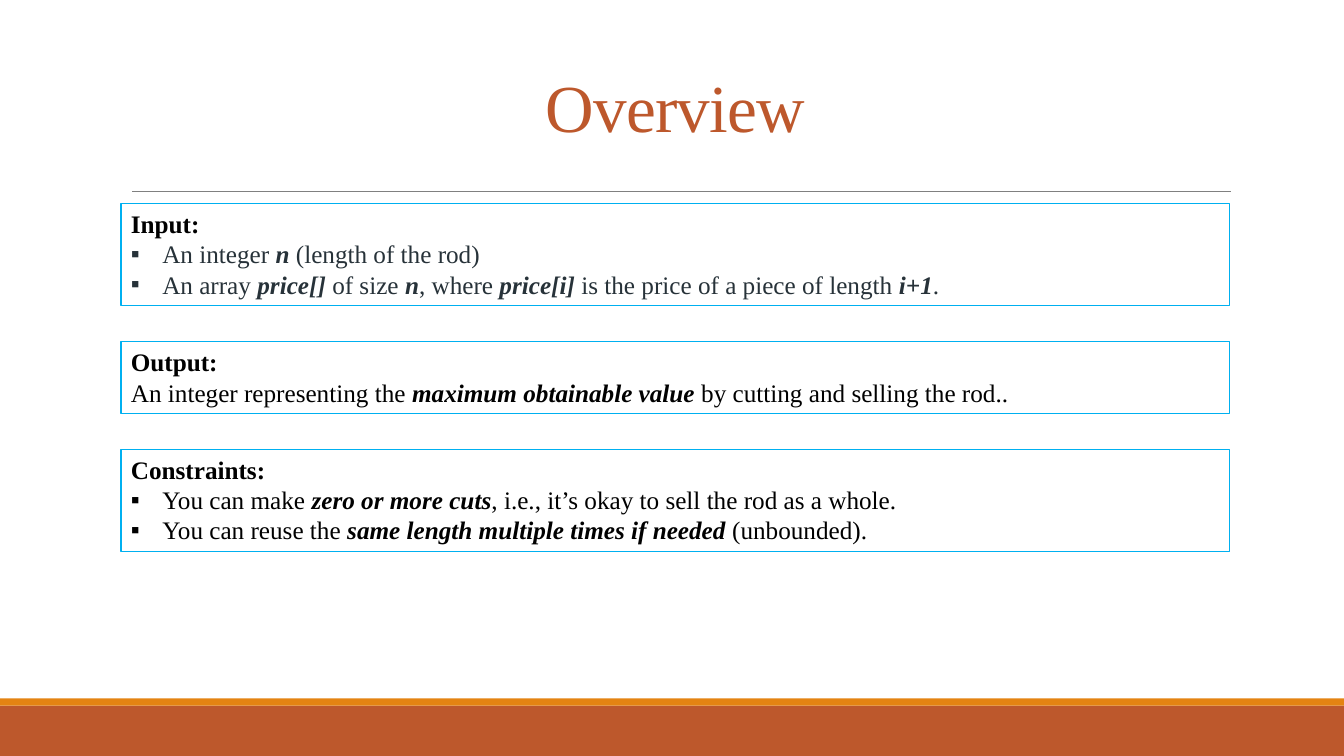
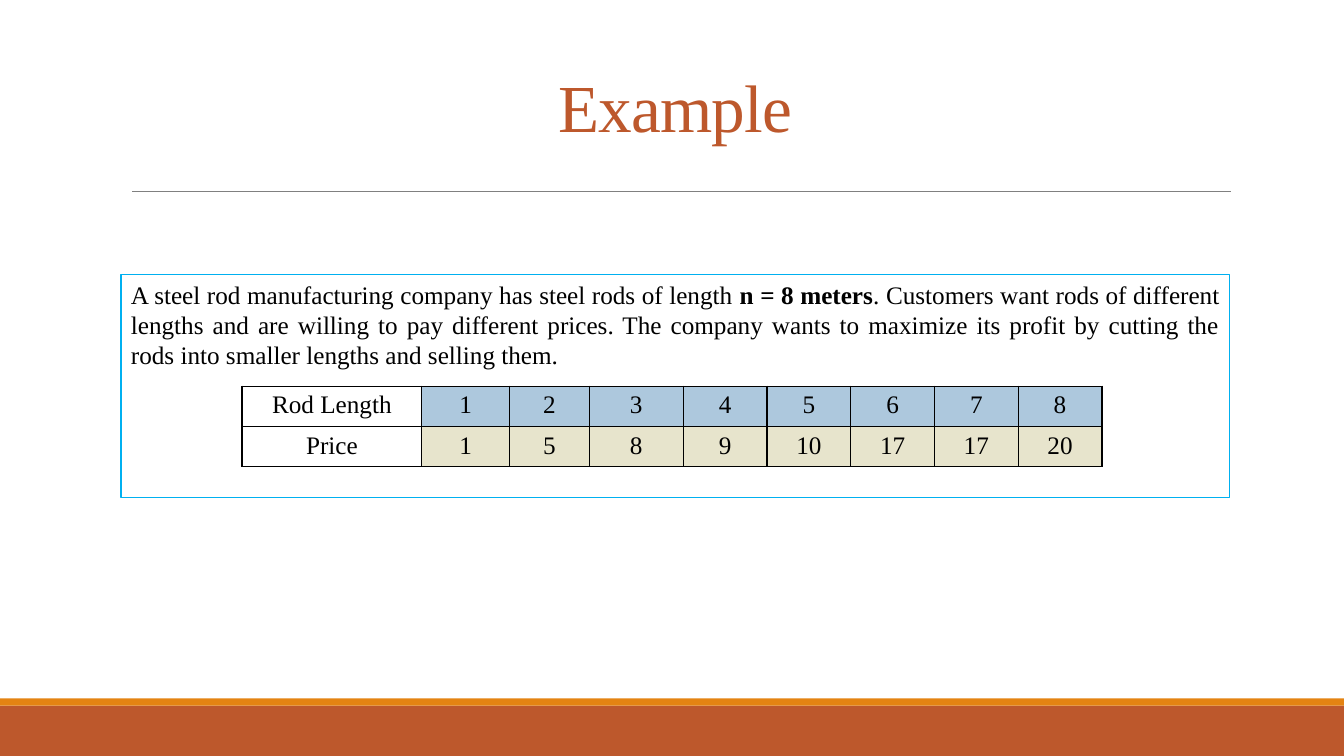
from dataclasses import dataclass

from lxml import etree
from pptx import Presentation
from pptx.dml.color import RGBColor
from pptx.enum.shapes import MSO_CONNECTOR, MSO_SHAPE
from pptx.enum.text import MSO_ANCHOR, PP_ALIGN
from pptx.oxml.ns import qn
from pptx.util import Cm, Pt

RECTANGLE = MSO_SHAPE.RECTANGLE
STRAIGHT = MSO_CONNECTOR.STRAIGHT
MIDDLE = MSO_ANCHOR.MIDDLE
CENTER = PP_ALIGN.CENTER
JUSTIFY = PP_ALIGN.JUSTIFY


@dataclass(frozen=True)
class Theme:
    font: str = "Times New Roman"
    title_size: int = 48
    body_size: int = 18
    accent: str = "BD582C"
    band: str = "E48312"
    rule: str = "808080"
    outline: str = "00B0F0"
    text: str = "000000"
    soft_text: str = "273239"
    length_fill: str = "ADC8DD"
    price_fill: str = "E7E4CC"


THEME = Theme()

# Page geometry in centimetres: left, top, width, height
PAGE_WIDTH, PAGE_HEIGHT = 33.87, 19.05
TITLE_BOX = (3.05, 0.79, 27.94, 4.04)
BODY_LEFT, BODY_WIDTH = 3.05, 27.94
LINE_HEIGHT, BOX_PADDING, BOX_GAP = 0.77, 0.26, 0.91

# Each section: heading, bulleted, text colour, lines of (text, style) runs
SECTIONS = [
    ("Input:", True, THEME.soft_text, [
        [("An integer ", ""), ("n", "bi"), (" (length of the rod)", "")],
        [("An array ", ""), ("price[] ", "bi"), ("of size ", ""), ("n", "bi"),
         (", where ", ""), ("price[i] ", "bi"),
         ("is the price of a piece of length ", ""), ("i+1", "bi"), (".", "")],
    ]),
    ("Output:", False, THEME.text, [
        [("An integer representing the ", ""),
         ("maximum obtainable value ", "bi"),
         ("by cutting and selling the rod..", "")],
    ]),
    ("Constraints:", True, THEME.text, [
        [("You can make ", ""), ("zero or more cuts", "bi"),
         (", i.e., it’s okay to sell the rod as a whole.", "")],
        [("You can reuse the ", ""),
         ("same length multiple times if needed ", "bi"),
         ("(unbounded).", "")],
    ]),
]

STORY = [
    ("A steel rod manufacturing company has steel rods of length ", ""),
    ("n = 8 meters", "b"),
    (". Customers want rods of different lengths and are willing to pay "
     "different prices. The company wants to maximize its profit by cutting "
     "the rods into smaller lengths and selling them.", ""),
]

PRICE_ROWS = [
    ("Rod Length", range(1, 9), THEME.length_fill),
    ("Price", [1, 5, 8, 9, 10, 17, 17, 20], THEME.price_fill),
]
COLUMN_WIDTHS = [4.53, 2.21, 2.01, 2.37] + [2.11] * 5
ROW_HEIGHT = 1.01


def color(value):
    return RGBColor.from_string(value)


def lengths(box):
    return [Cm(value) for value in box]


def add_run(paragraph, text, style="", size=THEME.body_size, ink=THEME.text):
    run = paragraph.add_run()
    run.text = text
    font_format = {"name": THEME.font, "size": Pt(size),
                   "bold": "b" in style, "italic": "i" in style}
    for attribute, value in font_format.items():
        setattr(run.font, attribute, value)
    run.font.color.rgb = color(ink)
    return run


def add_bullet(paragraph):
    properties = paragraph._p.get_or_add_pPr()
    properties.set("marL", str(Cm(0.79)))
    properties.set("indent", str(-Cm(0.79)))
    etree.SubElement(properties, qn("a:buFont")).set("typeface", THEME.font)
    etree.SubElement(properties, qn("a:buChar")).set("char", "▪")


def add_title(slide, box, text):
    shape = slide.shapes.add_textbox(*lengths(box))
    frame = shape.text_frame
    frame.word_wrap = True
    frame.vertical_anchor = MIDDLE
    paragraph = frame.paragraphs[0]
    paragraph.alignment = CENTER
    paragraph.line_spacing = 0.85
    run = add_run(paragraph, text, size=THEME.title_size, ink=THEME.accent)
    run._r.get_or_add_rPr().set("spc", "-50")


def add_frame(presentation, title):
    """Add a slide with the bands, rule and title that all slides share."""
    slide = presentation.slides.add_slide(presentation.slide_layouts[6])
    # Footer bands
    for top, height, fill in [(17.78, 1.27, THEME.accent),
                              (17.6, 0.18, THEME.band)]:
        band = slide.shapes.add_shape(
            RECTANGLE, *lengths((0, top, PAGE_WIDTH, height)))
        band.shadow.inherit = False
        band.fill.solid()
        band.fill.fore_color.rgb = color(fill)
        band.line.fill.background()
    # Rule under the title
    rule = slide.shapes.add_connector(
        STRAIGHT, *lengths((3.33, 4.82, 31.01, 4.82)))
    rule.line.color.rgb = color(THEME.rule)
    rule.line.width = Pt(0.5)
    etree.SubElement(rule._element.spPr, qn("a:effectLst"))
    add_title(slide, TITLE_BOX, title)
    return slide


def add_outlined_box(slide, box):
    shape = slide.shapes.add_textbox(*lengths(box))
    shape.line.color.rgb = color(THEME.outline)
    shape.line.width = Pt(0.75)
    shape.text_frame.word_wrap = True
    return shape.text_frame


def add_section(slide, box, heading, bulleted, ink, lines):
    frame = add_outlined_box(slide, box)
    paragraph = frame.paragraphs[0]
    add_run(paragraph, heading, "b")
    for runs in lines:
        paragraph = frame.add_paragraph()
        paragraph.alignment = JUSTIFY
        if bulleted:
            add_bullet(paragraph)
        for text, style in runs:
            add_run(paragraph, text, style, ink=ink)


def add_borders(cell):
    properties = cell._tc.get_or_add_tcPr()
    for side in ("a:lnL", "a:lnR", "a:lnT", "a:lnB"):
        line = etree.SubElement(properties, qn(side), w=str(Pt(1)))
        fill = etree.SubElement(line, qn("a:solidFill"))
        etree.SubElement(fill, qn("a:srgbClr")).set("val", THEME.text)


def fill_cell(cell, text, fill=None):
    add_borders(cell)
    if fill:
        cell.fill.solid()
        cell.fill.fore_color.rgb = color(fill)
    else:
        cell.fill.background()
    paragraph = cell.text_frame.paragraphs[0]
    paragraph.alignment = CENTER
    add_run(paragraph, str(text))


def add_price_table(slide, left, top):
    box = (left, top, sum(COLUMN_WIDTHS), ROW_HEIGHT * len(PRICE_ROWS))
    table = slide.shapes.add_table(
        len(PRICE_ROWS), len(COLUMN_WIDTHS), *lengths(box)).table
    table.first_row = False
    table.horz_banding = False
    for column, width in zip(table.columns, COLUMN_WIDTHS):
        column.width = Cm(width)
    for row_index, (label, values, fill) in enumerate(PRICE_ROWS):
        table.rows[row_index].height = Cm(ROW_HEIGHT)
        fill_cell(table.cell(row_index, 0), label)
        for column_index, value in enumerate(values, start=1):
            fill_cell(table.cell(row_index, column_index), value, fill)


def build_overview(presentation):
    slide = add_frame(presentation, "Overview")
    top = 5.13
    for heading, bulleted, ink, lines in SECTIONS:
        height = LINE_HEIGHT * (len(lines) + 1) + BOX_PADDING
        add_section(slide, (BODY_LEFT, top, BODY_WIDTH, height),
                    heading, bulleted, ink, lines)
        top += height + BOX_GAP


def build_example(presentation):
    slide = add_frame(presentation, "Example")
    top = 6.91
    frame = add_outlined_box(slide, (BODY_LEFT, top, BODY_WIDTH, 5.64))
    paragraph = frame.paragraphs[0]
    paragraph.alignment = JUSTIFY
    for text, style in STORY:
        add_run(paragraph, text, style)
    add_price_table(slide, BODY_LEFT + 3.05, top + 2.82)


def main():
    presentation = Presentation()
    presentation.slide_width = Cm(PAGE_WIDTH)
    presentation.slide_height = Cm(PAGE_HEIGHT)
    build_overview(presentation)
    build_example(presentation)
    presentation.save("out.pptx")


if __name__ == "__main__":
    main()
